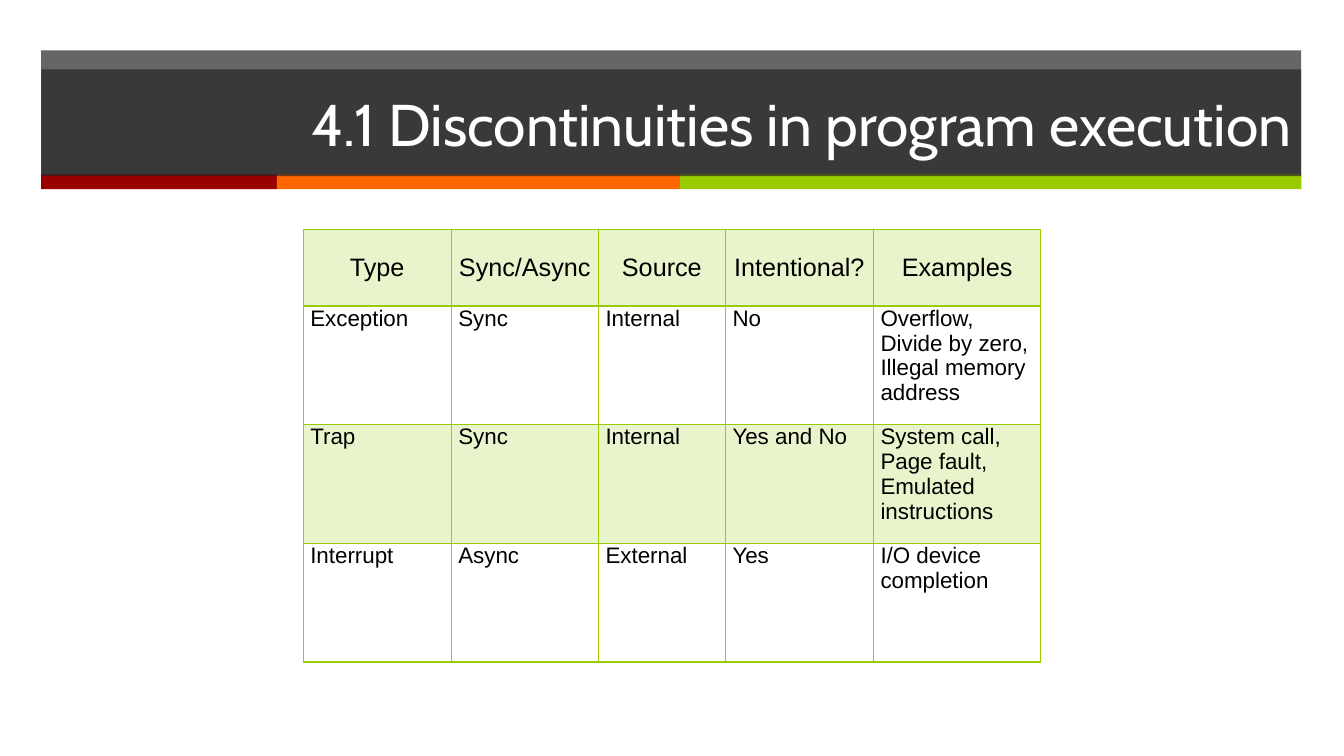
from dataclasses import dataclass

from lxml.etree import SubElement
from pptx import Presentation
from pptx.dml.color import RGBColor
from pptx.enum.shapes import MSO_SHAPE
from pptx.enum.text import MSO_ANCHOR, MSO_AUTO_SIZE, PP_ALIGN
from pptx.oxml.ns import qn
from pptx.util import Cm, Pt

COLORS = {
    "charcoal": "262626",
    "red": "990000",
    "orange": "FF6600",
    "green": "99CC00",
    "white": "FFFFFF",
    "black": "000000",
}
BANNER_LEFT, BANNER_WIDTH = 1.04, 31.75
STRIPE_TOP, STRIPE_HEIGHT = 4.39, 0.38
COLUMN_WIDTHS = (3.73, 3.71, 3.2, 3.73, 4.22)
HEADER_HEIGHT, BODY_HEIGHT = 1.93, 2.99


@dataclass(frozen=True)
class Stripe:
    color: str
    width: float


@dataclass(frozen=True)
class Discontinuity:
    kind: str
    timing: str
    source: str
    intentional: str
    examples: str

    def values(self) -> tuple[str, ...]:
        return self.kind, self.timing, self.source, self.intentional, self.examples


STRIPES = (Stripe("red", 5.94), Stripe("orange", 10.16), Stripe("green", 15.66))
DISCONTINUITIES = (
    Discontinuity("Type", "Sync/Async", "Source", "Intentional?", "Examples"),
    Discontinuity("Exception", "Sync", "Internal", "No",
                  "Overflow, Divide by zero, Illegal memory address"),
    Discontinuity("Trap", "Sync", "Internal", "Yes and No",
                  "System call, Page fault, Emulated instructions"),
    Discontinuity("Interrupt", "Async", "External", "Yes", "I/O device completion"),
)


def paint(fill, properties, color: str, opacity: int = 100) -> None:
    fill.solid()
    fill.fore_color.rgb = RGBColor.from_string(COLORS[color])
    if opacity < 100:
        tint = properties.find(qn("a:solidFill")).find(qn("a:srgbClr"))
        SubElement(tint, qn("a:alpha"), val=str(opacity * 1000))


def add_run(paragraph, text: str, font: str, size: int, color: str) -> None:
    run = paragraph.add_run()
    run.text = text
    run.font.name = font
    run.font.size = Pt(size)
    run.font.bold = False
    run.font.color.rgb = RGBColor.from_string(COLORS[color])


def add_bar(shapes, left: float, top: float, width: float, height: float,
            color: str, opacity: int = 100) -> None:
    bar = shapes.add_shape(MSO_SHAPE.RECTANGLE, Cm(left), Cm(top), Cm(width), Cm(height))
    bar.shadow.inherit = False
    bar.line.fill.background()
    paint(bar.fill, bar.element.spPr, color, opacity)


def add_banner(slide) -> None:
    add_bar(slide.shapes, BANNER_LEFT, 1.27, BANNER_WIDTH, 3.15, "charcoal", 70)
    stripes = slide.shapes.add_group_shape().shapes
    left = BANNER_LEFT
    for stripe in STRIPES:
        add_bar(stripes, left, STRIPE_TOP, stripe.width, STRIPE_HEIGHT, stripe.color)
        left += stripe.width


def set_title(slide, text: str) -> None:
    title = slide.shapes.title
    title.left, title.top = Cm(BANNER_LEFT), Cm(1.75)
    title.width, title.height = Cm(BANNER_WIDTH), Cm(2.69)
    paint(title.fill, title.element.spPr, "charcoal", 70)
    frame = title.text_frame
    frame.word_wrap = True
    frame.auto_size = MSO_AUTO_SIZE.NONE
    frame.vertical_anchor = MSO_ANCHOR.MIDDLE
    heading = frame.paragraphs[0]
    heading.alignment = PP_ALIGN.RIGHT
    indents = heading._p.get_or_add_pPr()
    indents.set("marL", str(Cm(1.27)))
    indents.set("indent", str(Cm(-1.27)))
    add_run(heading, text, "Cabin", 42, "white")
    title.element.getparent().append(title.element)


def draw_borders(properties) -> None:
    for side in ("a:lnL", "a:lnR", "a:lnT", "a:lnB"):
        border = SubElement(properties, qn(side), w=str(Pt(1)))
        SubElement(SubElement(border, qn("a:solidFill")), qn("a:srgbClr"),
                   val=COLORS["green"])


def fill_cell(cell, text: str, is_header: bool, is_shaded: bool) -> None:
    properties = cell._tc.get_or_add_tcPr()
    draw_borders(properties)
    if is_shaded:
        paint(cell.fill, properties, "green", 20)
    else:
        cell.fill.background()
    cell.margin_left = cell.margin_right = Cm(0.18)
    cell.margin_top = cell.margin_bottom = 0
    cell.vertical_anchor = MSO_ANCHOR.MIDDLE if is_header else MSO_ANCHOR.TOP
    entry = cell.text_frame.paragraphs[0]
    entry.alignment = PP_ALIGN.CENTER if is_header else PP_ALIGN.LEFT
    add_run(entry, text, "Arial", 18 if is_header else 16, "black")


def add_comparison(slide) -> None:
    heights = [HEADER_HEIGHT] + [BODY_HEIGHT] * (len(DISCONTINUITIES) - 1)
    comparison = slide.shapes.add_table(
        len(heights), len(COLUMN_WIDTHS), Cm(7.64), Cm(5.78),
        Cm(sum(COLUMN_WIDTHS)), Cm(sum(heights))).table
    comparison.first_row = False
    comparison.horz_banding = False
    for column, width in zip(comparison.columns, COLUMN_WIDTHS):
        column.width = Cm(width)
    for index, (row, height) in enumerate(zip(comparison.rows, heights)):
        row.height = Cm(height)
        for cell, text in zip(row.cells, DISCONTINUITIES[index].values()):
            fill_cell(cell, text, index == 0, index % 2 == 0)


def main() -> None:
    deck = Presentation()
    deck.slide_width, deck.slide_height = Cm(33.87), Cm(19.05)
    slide = deck.slides.add_slide(deck.slide_layouts[5])
    add_banner(slide)
    set_title(slide, "4.1 Discontinuities in program execution")
    add_comparison(slide)
    deck.save("out.pptx")


if __name__ == "__main__":
    main()
